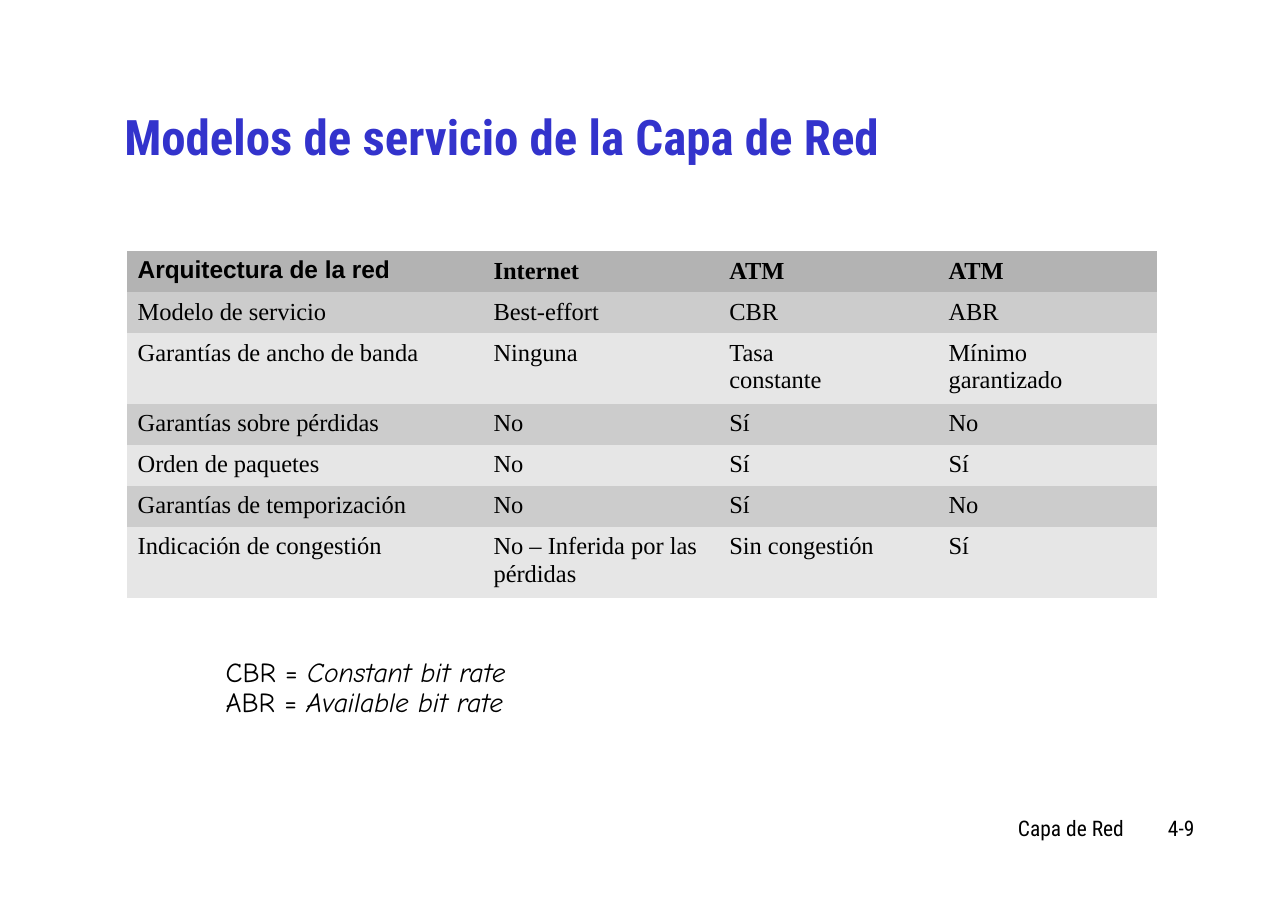
import pptx
import pptx.dml.color
import pptx.enum.shapes
import pptx.enum.text
import pptx.util
from dataclasses import dataclass

Inches = pptx.util.Inches
ALIGN = pptx.enum.text.PP_ALIGN
ANCHOR = pptx.enum.text.MSO_ANCHOR


@dataclass(frozen=True)
class Theme:
    title_color: str = "3333CC"
    ink: str = "000000"
    header_fill: str = "B3B3B3"
    band_fills: tuple = ("CCCCCC", "E6E6E6")
    heading_font: str = "Roboto Condensed"
    note_font: str = "Comic Neue"
    table_font: str = "Times New Roman"
    corner_font: str = "Arial"
    title_size: int = 32
    note_size: int = 18
    table_size: int = 16
    footer_size: int = 14


theme = Theme()


def add_span(para, text, font, size, color=theme.ink, bold=False, italic=False):
    span = para.add_run()
    span.text = text
    span.font.name = font
    span.font.size = pptx.util.Pt(size)
    span.font.bold = bold
    span.font.italic = italic
    span.font.color.rgb = pptx.dml.color.RGBColor.from_string(color)


def add_text_box(left, top, width, height, anchor, align):
    box = page.shapes.add_textbox(Inches(left), Inches(top), Inches(width), Inches(height))
    box.text_frame.word_wrap = True
    box.text_frame.vertical_anchor = anchor
    para = box.text_frame.paragraphs[0]
    para.alignment = align
    para.line_spacing = 0.9
    return para


deck = pptx.Presentation()
deck.slide_width = Inches(11.69)
deck.slide_height = Inches(8.27)
page = deck.slides.add_slide(deck.slide_layouts[6])

# Footer: chapter and page number
for text, left, width in (("Capa de Red", 6.85, 3.45), ("4-9", 10.13, 0.81)):
    para = add_text_box(left, 7.38, width, 0.31, ANCHOR.TOP, ALIGN.RIGHT)
    add_span(para, text, theme.heading_font, theme.footer_size)

# Title
para = add_text_box(1.03, 0.55, 9.27, 1.43, ANCHOR.MIDDLE, ALIGN.LEFT)
add_span(para, "Modelos de servicio de la Capa de Red", theme.heading_font,
         theme.title_size, theme.title_color, bold=True)

# Abbreviations
note = page.shapes.add_shape(pptx.enum.shapes.MSO_SHAPE.ROUNDED_RECTANGLE,
                             Inches(1.95), Inches(5.93), Inches(2.76), Inches(0.64))
note.adjustments[0] = 0
note.shadow.inherit = False
note.fill.background()
note.line.fill.background()
frame = note.text_frame
frame.word_wrap = False
frame.vertical_anchor = ANCHOR.TOP
abbreviations = (("CBR", "Constant bit rate"), ("ABR", "Available bit rate"))
for index, (short, meaning) in enumerate(abbreviations):
    para = frame.add_paragraph() if index else frame.paragraphs[0]
    para.alignment = ALIGN.LEFT
    para.line_spacing = 0.9
    add_span(para, f"{short} = ", theme.note_font, theme.note_size)
    add_span(para, meaning, theme.note_font, theme.note_size, italic=True)

# Service model table; a line break in a cell starts a new paragraph
rows = (
    ("Arquitectura de la red", "Internet", "ATM", "ATM"),
    ("Modelo de servicio", "Best-effort", "CBR", "ABR"),
    ("Garantías de ancho de banda", "Ninguna", "Tasa\nconstante", "Mínimo\ngarantizado"),
    ("Garantías sobre pérdidas", "No", "Sí", "No"),
    ("Orden de paquetes", "No", "Sí", "Sí"),
    ("Garantías de temporización", "No", "Sí", "No"),
    ("Indicación de congestión", "No – Inferida por las pérdidas", "Sin congestión", "Sí"),
)
column_widths = (3.23, 2.14, 1.99, 1.99)
row_heights = (0.37, 0.37, 0.64, 0.37, 0.37, 0.37, 0.64)
table = page.shapes.add_table(len(rows), len(column_widths), Inches(1.15), Inches(2.28),
                              Inches(sum(column_widths)), Inches(sum(row_heights))).table
for column, width in zip(table.columns, column_widths):
    column.width = Inches(width)
for row, height in zip(table.rows, row_heights):
    row.height = Inches(height)

for row_index, row in enumerate(rows):
    header = row_index == 0
    fill = theme.header_fill if header else theme.band_fills[(row_index - 1) % 2]
    for column_index, text in enumerate(row):
        corner = header and column_index == 0
        cell = table.cell(row_index, column_index)
        cell.fill.solid()
        cell.fill.fore_color.rgb = pptx.dml.color.RGBColor.from_string(fill)
        for line_index, line in enumerate(text.split("\n")):
            frame = cell.text_frame
            para = frame.add_paragraph() if line_index else frame.paragraphs[0]
            para.line_spacing = 1.0 if corner else 1.02
            add_span(para, line, theme.corner_font if corner else theme.table_font,
                     theme.table_size, bold=header)

# Plain look: no inner borders from the default table style
table.first_row = False
table.horz_banding = False
style = table._tbl.tblPr.find(pptx.oxml.ns.qn("a:tableStyleId"))
style.text = "{2D5ABB26-0587-4C30-8999-92F81FD0307C}"

deck.save("out.pptx")
